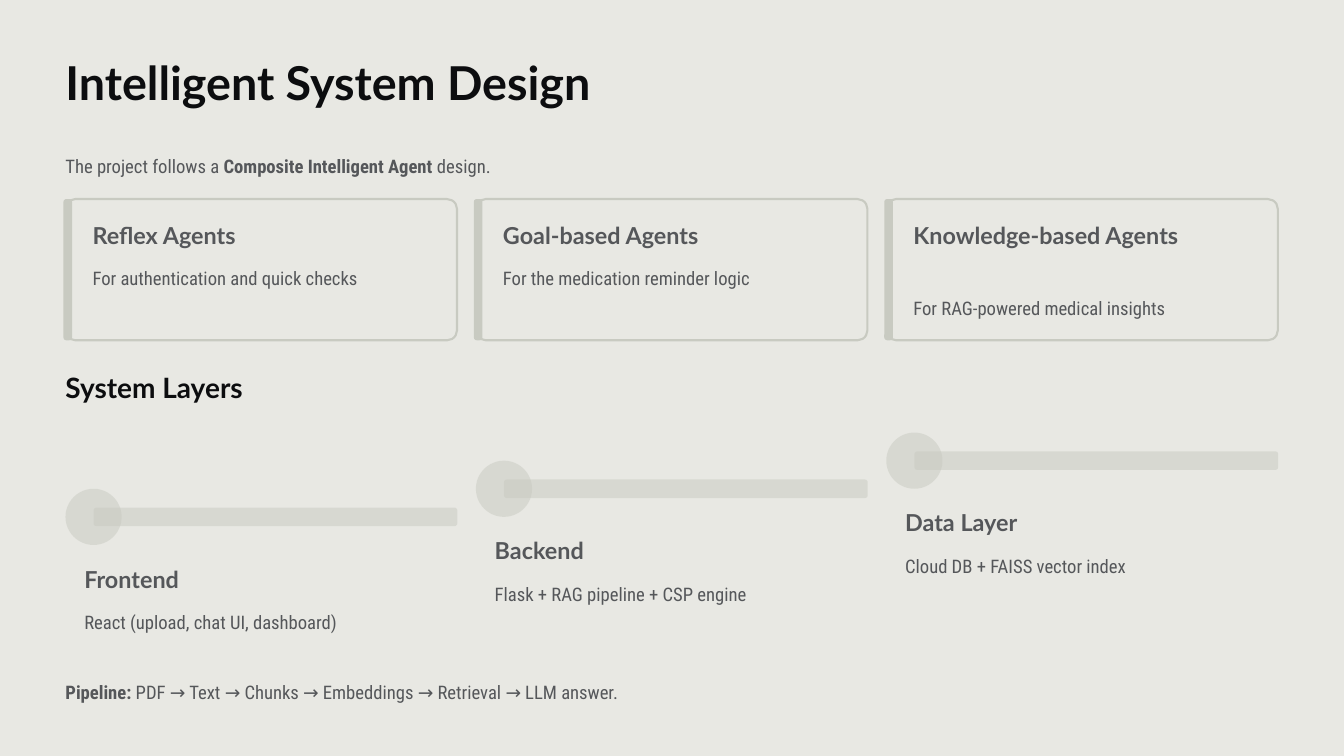
from dataclasses import dataclass

from lxml import etree
from pptx import Presentation
from pptx import util as u
from pptx.dml.color import RGBColor
from pptx.enum import shapes, text
from pptx.oxml.ns import qn

# Content: a text is a list of (wording, bold) runs
TITLE = [("Intelligent System Design", True)]
INTRO = [
    ("The project follows a ", False),
    ("Composite Intelligent Agent", True),
    (" design.", False),
]
# Agent name, purpose, top of the purpose line in cm
AGENTS = [
    ("Reflex Agents", "For authentication and quick checks", 7.87),
    ("Goal-based Agents", "For the medication reminder logic", 7.87),
    ("Knowledge-based Agents", "For RAG-powered medical insights", 8.76),
]
LAYERS_HEADING = [("System Layers", True)]
LAYERS = [
    ("Frontend", "React (upload, chat UI, dashboard)"),
    ("Backend", "Flask + RAG pipeline + CSP engine"),
    ("Data Layer", "Cloud DB + FAISS vector index"),
]
PIPELINE = [
    ("Pipeline:", True),
    (" PDF → Text → Chunks → Embeddings → Retrieval → LLM answer.", False),
]


@dataclass(frozen=True)
class Theme:
    paper: str = "E8E8E3"
    accent: str = "C8CAC1"
    ink: str = "0C0D0F"
    muted: str = "55575A"
    heading_font: str = "Lato"
    body_font: str = "Roboto Condensed"
    title_size: int = 40
    section_size: int = 24
    heading_size: int = 20
    body_size: int = 16


THEME = Theme()

# Layout in cm
LEFT, COLUMN_PITCH = 1.98, 12.41
CARD_TOP, CARD_WIDTH, CARD_HEIGHT = 6.02, 11.84, 4.27
CARD_INDENT = 0.82
STEP_TOP, STEP_RISE, STEP_INDENT = 14.78, 0.85, 0.57
DOT, BAR_WIDTH, BAR_HEIGHT = 1.7, 11.0, 0.56

deck = Presentation()
deck.slide_width, deck.slide_height = u.Cm(40.64), u.Cm(22.86)
slide = deck.slides.add_slide(deck.slide_layouts[5])
slide.background.fill.solid()
slide.background.fill.fore_color.rgb = RGBColor.from_string(THEME.paper)


def put_text(runs, left, top, width, height=0.84, box=None, font=THEME.body_font,
             size=THEME.body_size, color=THEME.muted, leading=25):
    if box is None:
        box = slide.shapes.add_textbox(0, 0, 0, 0)
    box.left, box.top, box.width, box.height = map(u.Cm, (left, top, width, height))
    frame = box.text_frame
    frame.margin_left = frame.margin_right = frame.margin_top = frame.margin_bottom = 0
    frame.word_wrap = True
    frame.auto_size = text.MSO_AUTO_SIZE.NONE
    frame.vertical_anchor = text.MSO_ANCHOR.TOP
    paragraph = frame.paragraphs[0]
    paragraph.alignment = text.PP_ALIGN.LEFT
    paragraph.line_spacing = u.Pt(leading)
    for wording, bold in runs:
        run = paragraph.add_run()
        run.text = wording
        run.font.name, run.font.size, run.font.bold = font, u.Pt(size), bold
        run.font.color.rgb = RGBColor.from_string(color)


def put_heading(wording, left, top):
    put_text([(wording, True)], left, top, 10.4,
             font=THEME.heading_font, size=THEME.heading_size)


def put_rounded(left, top, width, height, rounding, fill=THEME.accent,
                outline=None, opacity=100):
    panel = slide.shapes.add_shape(shapes.MSO_SHAPE.ROUNDED_RECTANGLE,
                                   *map(u.Cm, (left, top, width, height)))
    panel.adjustments[0] = rounding
    panel.shadow.inherit = False
    panel.fill.solid()
    panel.fill.fore_color.rgb = RGBColor.from_string(fill)
    if opacity < 100:
        tint = panel.fill._xPr.find(qn("a:solidFill"))[0]
        etree.SubElement(tint, qn("a:alpha")).set("val", str(opacity * 1000))
    if outline:
        panel.line.color.rgb = RGBColor.from_string(outline)
        panel.line.width = u.Pt(1.8)
    else:
        panel.line.fill.background()


# Title and introduction
put_text(TITLE, LEFT, 1.57, 36, 1.73, box=slide.shapes.title,
         font=THEME.heading_font, size=THEME.title_size, color=THEME.ink, leading=50)
put_text(INTRO, LEFT, 4.47, 20)

# Agent cards
for column, (agent, purpose, purpose_top) in enumerate(AGENTS):
    left = LEFT + column * COLUMN_PITCH
    put_rounded(left, CARD_TOP, CARD_WIDTH, CARD_HEIGHT, 0.07,
                fill=THEME.paper, outline=THEME.accent)
    put_rounded(left - 0.06, CARD_TOP, 0.26, CARD_HEIGHT, 0.33)
    put_heading(agent, left + CARD_INDENT, 6.65)
    put_text([(purpose, False)], left + CARD_INDENT, purpose_top, 10.4)

# System layers, each a step higher than the one before
put_text(LAYERS_HEADING, LEFT, 11.15, 20, 1.04, font=THEME.heading_font,
         size=THEME.section_size, color=THEME.ink, leading=30)
for column, (layer, parts) in enumerate(LAYERS):
    left = LEFT + column * COLUMN_PITCH
    top = STEP_TOP - column * STEP_RISE
    put_rounded(left + DOT / 2, top + (DOT - BAR_HEIGHT) / 2,
                BAR_WIDTH, BAR_HEIGHT, 0.15, opacity=50)
    put_rounded(left, top, DOT, DOT, 0.5, opacity=50)
    put_heading(layer, left + STEP_INDENT, top + 2.26)
    put_text([(parts, False)], left + STEP_INDENT, top + 3.48, 10.4)

# Pipeline summary
put_text(PIPELINE, LEFT, 20.37, 30)

deck.save("out.pptx")
